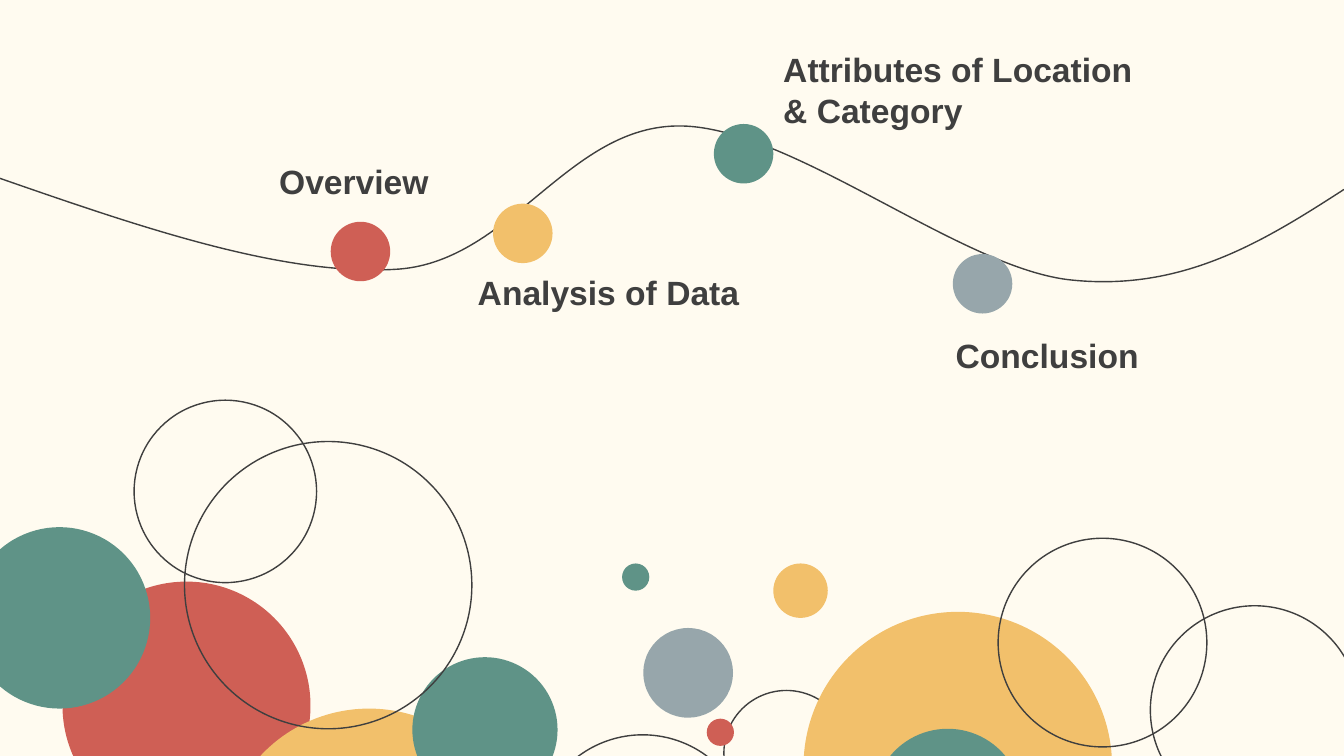
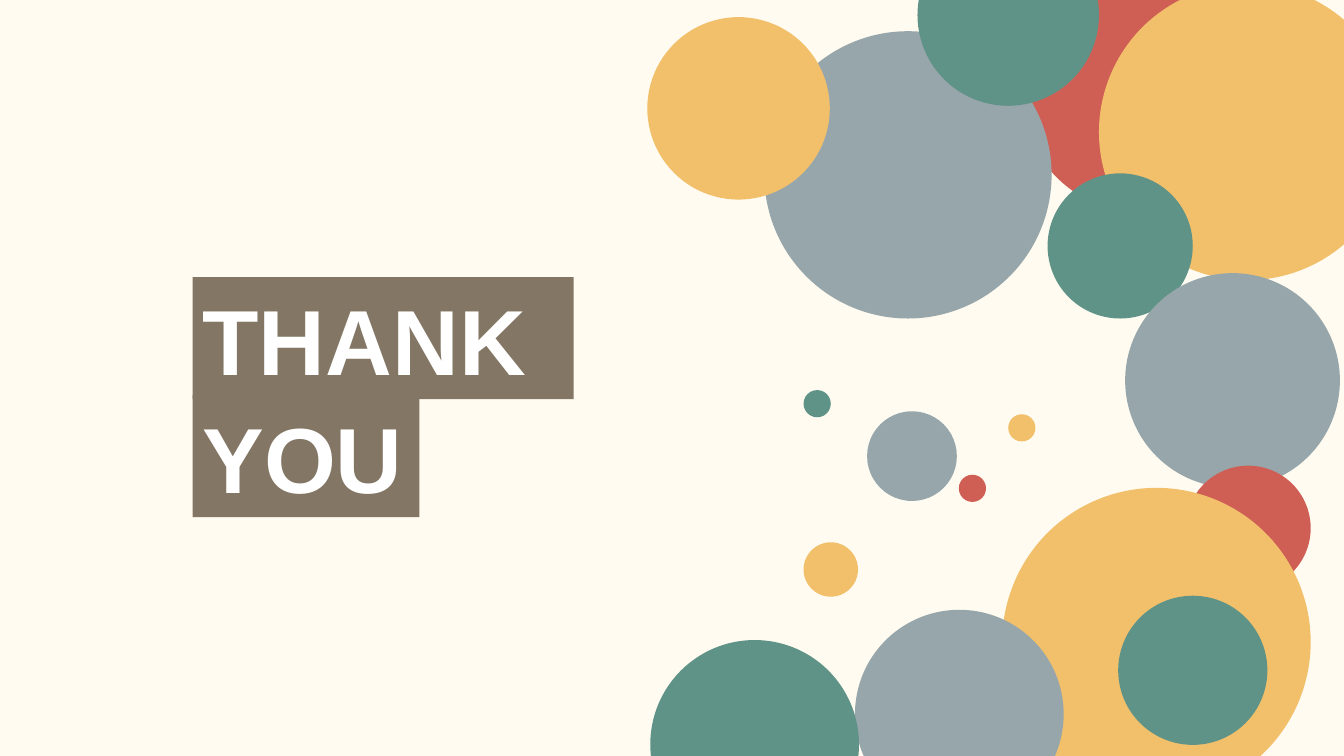
"""Builds an agenda slide along a winding line and a closing slide, both decorated with circles."""
from lxml import etree
from pptx import Presentation
from pptx.dml.color import RGBColor
from pptx.enum.shapes import MSO_SHAPE
from pptx.enum.text import MSO_ANCHOR, PP_ALIGN
from pptx.oxml.ns import qn
from pptx.util import Inches, Pt

OVAL, RECTANGLE = MSO_SHAPE.OVAL, MSO_SHAPE.RECTANGLE
LEFT, TOP, MIDDLE = PP_ALIGN.LEFT, MSO_ANCHOR.TOP, MSO_ANCHOR.MIDDLE

THEME = {
    "cream": RGBColor.from_string("FFFBF0"),
    "red": RGBColor.from_string("CF5F55"),
    "yellow": RGBColor.from_string("F2C06B"),
    "green": RGBColor.from_string("5F9387"),
    "grey": RGBColor.from_string("97A6AB"),
    "ink": RGBColor.from_string("3F3F3F"),
    "brown": RGBColor.from_string("837664"),
    "white": RGBColor.from_string("FFFFFF"),
    "font": "Arial",
    "label": Pt(24),
    "closing": Pt(66),
    "line": Pt(1),
}


def paint(shape, look):
    shape.shadow.inherit = False
    if look == "outline":
        shape.fill.background()
        shape.line.color.rgb = THEME["ink"]
        shape.line.width = THEME["line"]
    else:
        shape.fill.solid()
        shape.fill.fore_color.rgb = THEME[look]
        shape.line.fill.background()


def write_text(shape, text, size, color, anchor):
    frame = shape.text_frame
    frame.word_wrap = True
    frame.vertical_anchor = anchor
    paragraph = frame.paragraphs[0]
    paragraph.alignment = LEFT
    run = paragraph.add_run()
    run.text = text
    for attribute, value in {"name": THEME["font"], "size": THEME[size], "bold": True}.items():
        setattr(run.font, attribute, value)
    run.font.color.rgb = THEME[color]


deck = Presentation()
deck.slide_width, deck.slide_height = Inches(13.33), Inches(7.5)
agenda, closing = [deck.slides.add_slide(deck.slide_layouts[6]) for _ in range(2)]
for slide in (agenda, closing):
    slide.background.fill.solid()
    slide.background.fill.fore_color.rgb = THEME["cream"]

AGENDA_BUBBLES = [
    (0.62, 5.77, 2.46, "red"),
    (2.19, 7.03, 2.94, "yellow"),
    (4.09, 6.52, 1.44, "green"),
    (5.31, 7.29, 2.13, "outline"),
    (1.83, 4.38, 2.85, "outline"),
    (-0.31, 5.23, 1.8, "green"),
    (7.18, 6.85, 1.24, "outline"),
    (7.97, 6.07, 3.06, "yellow"),
    (8.66, 7.23, 1.48, "green"),
    (9.9, 5.34, 2.07, "outline"),
    (11.41, 6.01, 2.07, "outline"),
    (6.38, 6.23, 0.89, "grey"),
    (7.01, 7.13, 0.27, "red"),
    (6.17, 5.59, 0.27, "green"),
    (7.67, 5.59, 0.54, "yellow"),
    (1.33, 3.97, 1.81, "outline"),
]
CLOSING_BUBBLES = [
    (10.12, -0.34, 2.46, "red"),
    (10.9, -0.16, 2.94, "yellow"),
    (10.39, 1.72, 1.44, "green"),
    (11.16, 2.71, 2.13, "grey"),
    (7.58, 0.31, 2.85, "grey"),
    (9.1, -0.75, 1.8, "green"),
    (11.76, 4.62, 1.24, "red"),
    (9.94, 4.84, 3.06, "yellow"),
    (11.09, 5.91, 1.48, "green"),
    (8.48, 6.05, 2.07, "grey"),
    (6.45, 6.35, 2.07, "green"),
    (8.6, 4.08, 0.89, "grey"),
    (9.51, 4.71, 0.27, "red"),
    (10, 4.11, 0.27, "yellow"),
    (7.97, 3.87, 0.27, "green"),
    (7.97, 5.38, 0.54, "yellow"),
    (6.42, 0.17, 1.81, "yellow"),
]
closing_group = closing.shapes.add_group_shape()
for shapes, bubbles in ((agenda.shapes, AGENDA_BUBBLES), (closing_group.shapes, CLOSING_BUBBLES)):
    for left, top, diameter, look in bubbles:
        bubble = shapes.add_shape(OVAL, Inches(left), Inches(top), Inches(diameter), Inches(diameter))
        paint(bubble, look)

BENDS = [
    ((1.41, 2.26), (2.83, 2.75), (3.96, 2.67)),
    ((5.08, 2.58), (5.64, 1.23), (6.76, 1.25)),
    ((7.87, 1.27), (9.55, 2.68), (10.64, 2.78)),
    ((11.74, 2.89), (12.54, 2.39), (13.33, 1.88)),
]
builder = agenda.shapes.build_freeform(Inches(0), Inches(1.77))
builder.add_line_segments([(Inches(x), Inches(y)) for *_, (x, y) in BENDS], close=False)
journey = builder.convert_to_shape()
paint(journey, "outline")
straight_parts = list(journey.element.iter(qn("a:lnTo")))
for straight, bend in zip(straight_parts, BENDS):
    curve = etree.Element(qn("a:cubicBezTo"))
    for x, y in bend:
        etree.SubElement(curve, qn("a:pt"), x=str(Inches(x) - journey.left), y=str(Inches(y) - journey.top))
    straight.getparent().replace(straight, curve)

STOP_DIAMETER = Inches(0.59)
STOPS = [
    ("Overview", "red", (3.28, 2.2), (2.67, 1.55, 3.11, 0.5)),
    ("Analysis of Data", "yellow", (4.89, 2.02), (4.64, 2.65, 3.6, 0.5)),
    ("Attributes of Location & Category", "green", (7.08, 1.23), (7.67, 0.44, 3.86, 0.91)),
    ("Conclusion", "grey", (9.45, 2.52), (9.38, 3.27, 3.11, 0.5)),
]
for _, color, corner, _ in STOPS:
    stop = agenda.shapes.add_shape(OVAL, *map(Inches, corner), STOP_DIAMETER, STOP_DIAMETER)
    paint(stop, color)
for topic, _, _, area in STOPS:
    label = agenda.shapes.add_textbox(*map(Inches, area))
    write_text(label, topic, "label", "ink", TOP)

for word, top, width in (("THANK", 2.75, 3.78), ("YOU", 3.92, 2.25)):
    banner = closing.shapes.add_shape(RECTANGLE, Inches(1.91), Inches(top), Inches(width), Inches(1.21))
    paint(banner, "brown")
    write_text(banner, word, "closing", "white", MIDDLE)

deck.save("out.pptx")
